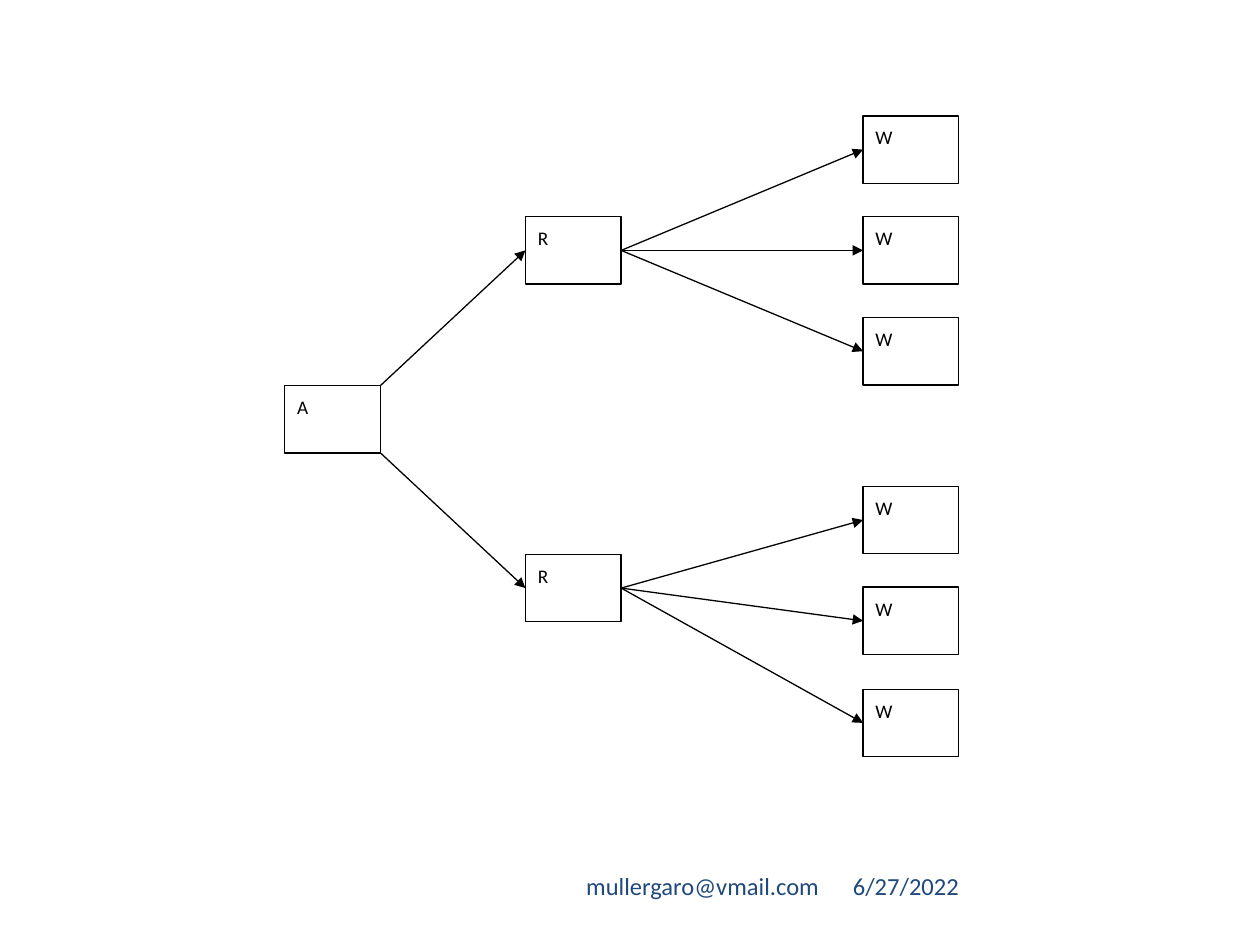
from pptx import Presentation
from pptx.dml.color import RGBColor
from pptx.enum.shapes import MSO_CONNECTOR, MSO_SHAPE
from pptx.enum.text import MSO_ANCHOR, PP_ALIGN
from pptx.oxml.ns import qn
from pptx.util import Inches, Pt
from lxml.etree import SubElement

COLORS = {"ink": "000000", "paper": "FFFFFF", "footer": "1F497D"}
FONT = "Calibri"
FOOTERS = [
    ("6/27/2022", 6.67, 2.92, PP_ALIGN.LEFT),
    ("mullergaro@vmail.com", 0.67, 5.93, PP_ALIGN.RIGHT),
]
ROOT = ("A", 3.06)
BRANCHES = [
    ("R", 1.72, [("W", 0.92), ("W", 1.72), ("W", 2.52)]),
    ("R", 4.4, [("W", 3.86), ("W", 4.66), ("W", 5.47)]),
]
COLUMNS = {"A": 2.26, "R": 4.17, "W": 6.85}
BOX_WIDTH, BOX_HEIGHT = 0.76, 0.535
RIGHT_SIDE, LEFT_SIDE = 3, 1


def color(name):
    """Return the named palette color."""
    return RGBColor.from_string(COLORS[name])


def add_span(para, text, size, ink):
    """Add one formatted run to a paragraph."""
    span = para.add_run()
    span.text = text
    span.font.name = FONT
    span.font.size = Pt(size)
    span.font.color.rgb = color(ink)


def add_footer(page, text, left, width, align):
    """Add one footer text box."""
    box = page.shapes.add_textbox(Inches(left), Inches(6.83), Inches(width), Inches(0.4))
    box.text_frame.word_wrap = True
    box.text_frame.vertical_anchor = MSO_ANCHOR.MIDDLE
    para = box.text_frame.paragraphs[0]
    para.alignment = align
    add_span(para, text, 14, "footer")


def add_node(page, label, top):
    """Add one labelled box in the column of its label."""
    box = page.shapes.add_shape(
        MSO_SHAPE.RECTANGLE, Inches(COLUMNS[label]), Inches(top), Inches(BOX_WIDTH), Inches(BOX_HEIGHT)
    )
    box.shadow.inherit = False
    box.fill.solid()
    box.fill.fore_color.rgb = color("paper")
    box.line.color.rgb = color("ink")
    box.line.width = Pt(0.75)
    box.text_frame.word_wrap = True
    box.text_frame.vertical_anchor = MSO_ANCHOR.TOP
    para = box.text_frame.paragraphs[0]
    para.alignment = PP_ALIGN.LEFT
    para.line_spacing = 1.15
    para.space_after = Pt(10)
    add_span(para, label, 11, "ink")
    return box


def add_arrow(page, start, target):
    """Add an arrow from a point to the left side of the target box."""
    arrow = page.shapes.add_connector(
        MSO_CONNECTOR.STRAIGHT, *start, target.left, target.top + target.height // 2
    )
    arrow.end_connect(target, LEFT_SIDE)
    arrow.line.color.rgb = color("ink")
    arrow.line.width = Pt(0.75)
    SubElement(arrow.line._get_or_add_ln(), qn("a:tailEnd"), type="triangle")
    SubElement(arrow._element.spPr, qn("a:effectLst"))
    return arrow


def main():
    """Build the tree slide."""
    deck = Presentation()
    deck.slide_width, deck.slide_height = Inches(10), Inches(7.5)
    page = deck.slides.add_slide(deck.slide_layouts[6])
    for footer in FOOTERS:
        add_footer(page, *footer)

    root = add_node(page, *ROOT)
    root_right = root.left + root.width
    corners = [(root_right, root.top), (root_right, root.top + root.height)]
    for corner, (label, top, leaves) in zip(corners, BRANCHES):
        branch = add_node(page, label, top)
        add_arrow(page, corner, branch)
        middle = (branch.left + branch.width, branch.top + branch.height // 2)
        for leaf in leaves:
            arrow = add_arrow(page, middle, add_node(page, *leaf))
            arrow.begin_connect(branch, RIGHT_SIDE)
    deck.save("out.pptx")


if __name__ == "__main__":
    main()
